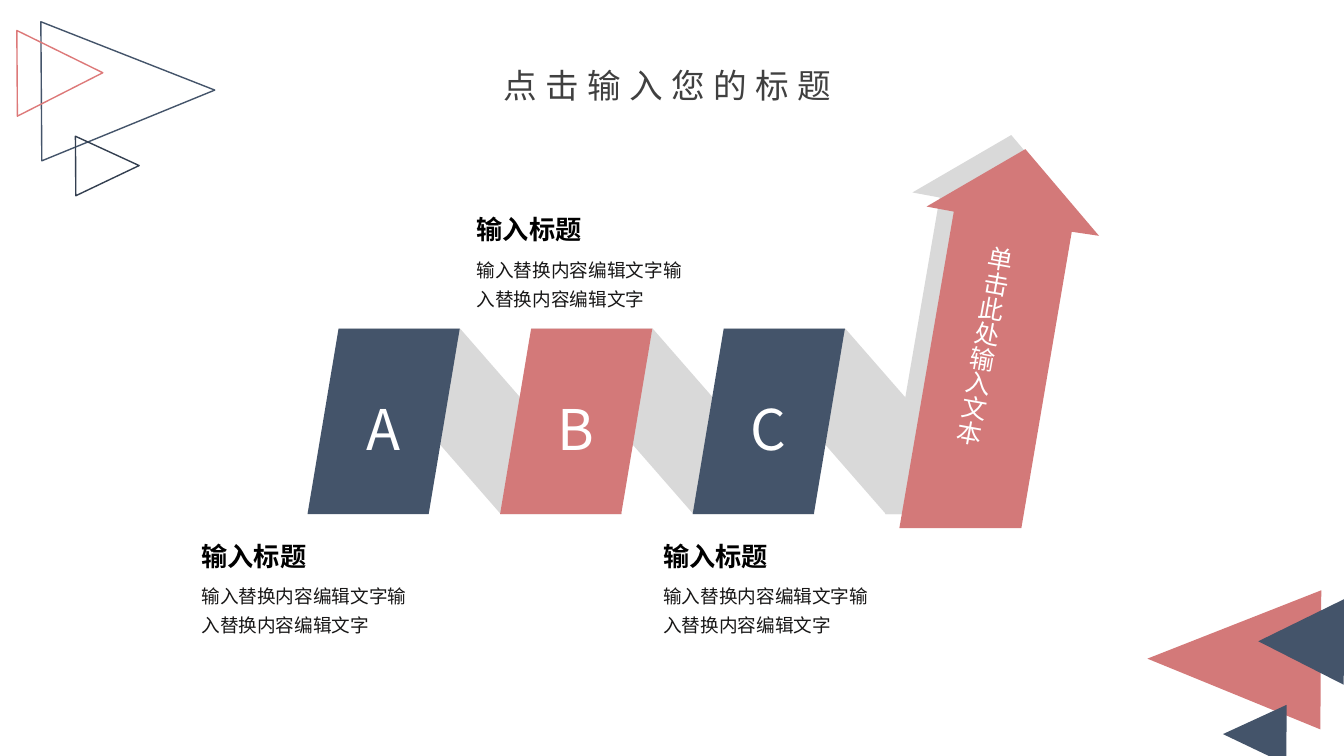
from lxml import etree
from pptx import Presentation
from pptx.dml.color import RGBColor
from pptx.enum import shapes, text
from pptx.oxml import ns
from pptx.util import Inches, Pt

FONT = "Noto Sans CJK SC"
NAVY = RGBColor(0x44, 0x54, 0x6A)
DARK_NAVY = RGBColor(0x33, 0x3F, 0x50)
ROSE = RGBColor(0xD3, 0x79, 0x79)
BRIGHT_ROSE = RGBColor(0xDD, 0x79, 0x79)
GREY = RGBColor(0xD9, 0xD9, 0xD9)
TITLE_GREY = RGBColor(0x40, 0x40, 0x40)
INK = RGBColor(0x18, 0x17, 0x17)
BLACK = RGBColor(0, 0, 0)
WHITE = RGBColor(0xFF, 0xFF, 0xFF)

TITLE = "点击输入您的标题"
ARROW_TEXT = "单击此处输入文本"
HEADING = "输入标题"
BODY = "输入替换内容编辑文字输入替换内容编辑文字"
STEPS = [("A", NAVY), ("B", ROSE), ("C", NAVY)]
CAPTIONS = [(1.9, 5.31), (4.63, 2.07), (6.48, 5.31)]
SOLID_TRIANGLES = [
    ((11.55, 5.68, 1.38, 1.72), ROSE),
    ((12.15, 6.97, 0.59, 0.63), NAVY),
    ((12.48, 5.94, 0.85, 0.85), NAVY),
]
OUTLINE_TRIANGLES = [
    ((0.58, 0.04, 1.38, 1.72), NAVY),
    ((0.77, 1.33, 0.59, 0.63), DARK_NAVY),
    ((0.17, 0.3, 0.85, 0.85), BRIGHT_ROSE),
]
ARROW = [(1.25, 0), (1.98, 0.86), (1.71, 0.82), (1.21, 3.76),
         (0, 3.76), (0.54, 0.62), (0.27, 0.57)]
STEP_LEFT, STEP_TOP, STEP_PITCH, STEP_HEIGHT = 3.05, 3.26, 1.91, 1.84
STEP_WIDTH, STEP_SLANT = 1.51, 0.31


def paint(sp, fill=None, line=None):
    """Set a shape's fill and outline and drop its shadow."""
    sp.shadow.inherit = False
    if fill is None:
        sp.fill.background()
    else:
        sp.fill.solid()
        sp.fill.fore_color.rgb = fill
    if line is None:
        sp.line.fill.background()
    else:
        sp.line.color.rgb = line
        sp.line.width = Pt(1)


def add_preset(s, kind, box, fill=None, line=None):
    """Add a painted preset shape at a box in inches."""
    sp = s.shapes.add_shape(kind, *map(Inches, box))
    paint(sp, fill, line)
    return sp


def add_arrow(s, left, top, color):
    """Add the slanted arrow with its bounding box at left, top."""
    points = [(Inches(left + x), Inches(top + y)) for x, y in ARROW]
    fb = s.shapes.build_freeform(*points[0])
    fb.add_line_segments(points[1:])
    paint(fb.convert_to_shape(), color)


def write(sp, words, size, color, bold=False, margins=(0.1, 0.05), wrap=True,
          anchor=text.MSO_ANCHOR.TOP, spacing=None, **para):
    """Write one formatted paragraph into a shape."""
    tf = sp.text_frame
    side, end = map(Inches, margins)
    frame = {"margin_left": side, "margin_right": side, "margin_top": end,
             "margin_bottom": end, "word_wrap": wrap, "vertical_anchor": anchor}
    for name, value in frame.items():
        setattr(tf, name, value)
    p = tf.paragraphs[0]
    for name, value in para.items():
        setattr(p, name, value)
    r = p.add_run()
    r.text = words
    for name, value in {"name": FONT, "size": Pt(size), "bold": bold}.items():
        setattr(r.font, name, value)
    r.font.color.rgb = color
    props = r._r.get_or_add_rPr()
    etree.SubElement(props, ns.qn("a:ea")).set("typeface", FONT)
    if spacing:
        props.set("spc", str(spacing * 100))


def add_text(s, box, words, size, color, **style):
    """Add a text box holding one paragraph."""
    sp = s.shapes.add_textbox(*map(Inches, box))
    write(sp, words, size, color, **style)
    return sp


def main():
    """Build the slide and save it."""
    prs = Presentation()
    prs.slide_width, prs.slide_height = Inches(13.33), Inches(7.5)
    s = prs.slides.add_slide(prs.slide_layouts[5])
    kinds = shapes.MSO_SHAPE
    center, middle = text.PP_ALIGN.CENTER, text.MSO_ANCHOR.MIDDLE

    title = s.shapes.title
    place = {"left": 4.57, "top": 0.64, "width": 4.09, "height": 0.4}
    for name, value in place.items():
        setattr(title, name, Inches(value))
    write(title, TITLE, 24, TITLE_GREY, margins=(0, 0), anchor=middle,
          spacing=6, alignment=center)

    for box, color in SOLID_TRIANGLES:
        add_preset(s, kinds.ISOSCELES_TRIANGLE, box, fill=color).rotation = 270.4
    for box, color in OUTLINE_TRIANGLES:
        add_preset(s, kinds.ISOSCELES_TRIANGLE, box, line=color).rotation = 89.6

    add_arrow(s, 8.78, 1.34, GREY)
    lefts = [STEP_LEFT + i * STEP_PITCH for i in range(len(STEPS))]
    for left in lefts:
        box = (left + STEP_SLANT, STEP_TOP, 2.81, STEP_HEIGHT)
        fold = add_preset(s, kinds.PARALLELOGRAM, box, fill=GREY)
        fold.adjustments[0] = 0.873
        fold._element.spPr.xfrm.set("flipH", "1")
    for left, (letter, color) in zip(lefts, STEPS):
        box = (left, STEP_TOP, STEP_WIDTH, STEP_HEIGHT)
        step = add_preset(s, kinds.PARALLELOGRAM, box, fill=color)
        step.adjustments[0] = 0.204
        write(step, letter, 40, WHITE, margins=(0, 0.05), anchor=middle,
              alignment=center, line_spacing=1.2, space_after=Pt(6))
    add_arrow(s, 8.92, 1.48, ROSE)

    label = add_text(s, (9.47, 2.33, 0.5, 2.12), ARROW_TEXT, 18, WHITE,
                     wrap=False)
    label.rotation = 10.2
    label.text_frame._txBody.bodyPr.set("vert", "eaVert")

    for left, top in CAPTIONS:
        add_text(s, (left, top, 2.12, 0.42), HEADING, 18.7, BLACK, bold=True,
                 alignment=text.PP_ALIGN.JUSTIFY)
        add_text(s, (left, top + 0.38, 2.24, 0.66), BODY, 13.3, INK,
                 line_spacing=1.3)

    prs.save("out.pptx")


if __name__ == "__main__":
    main()
